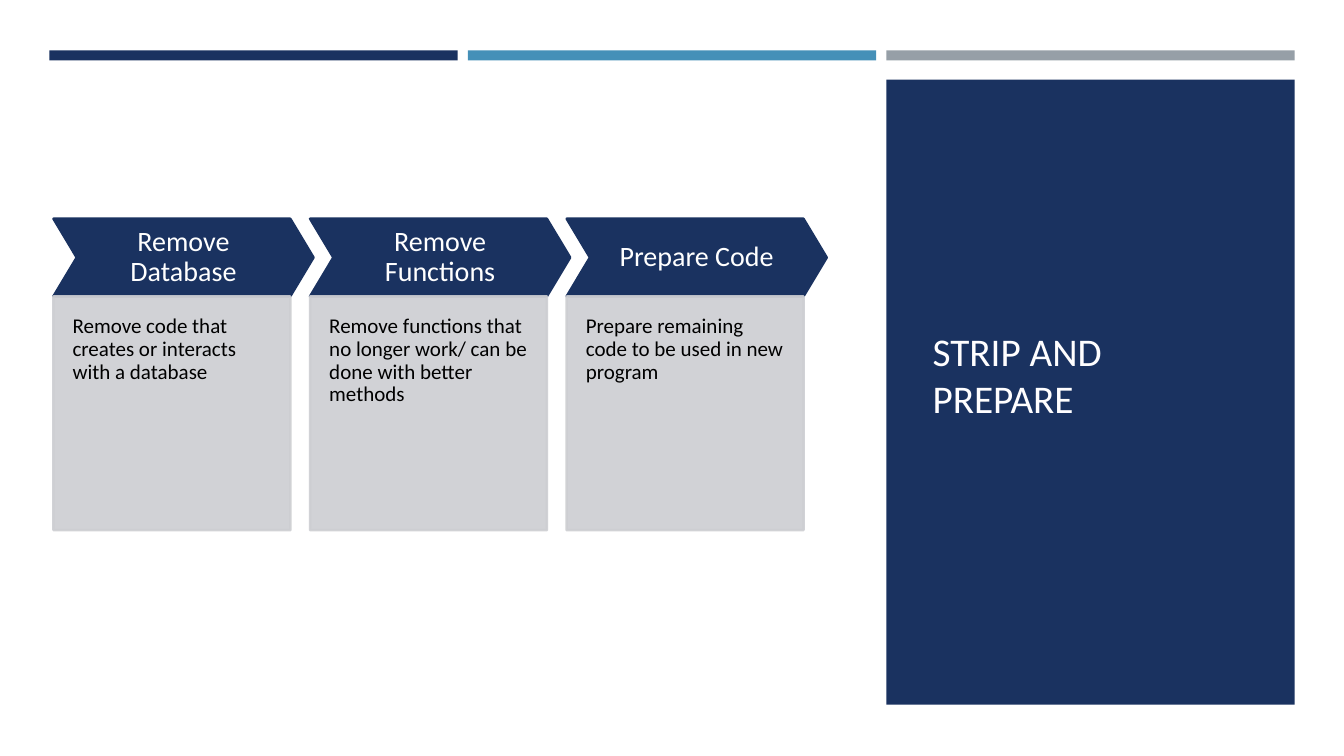
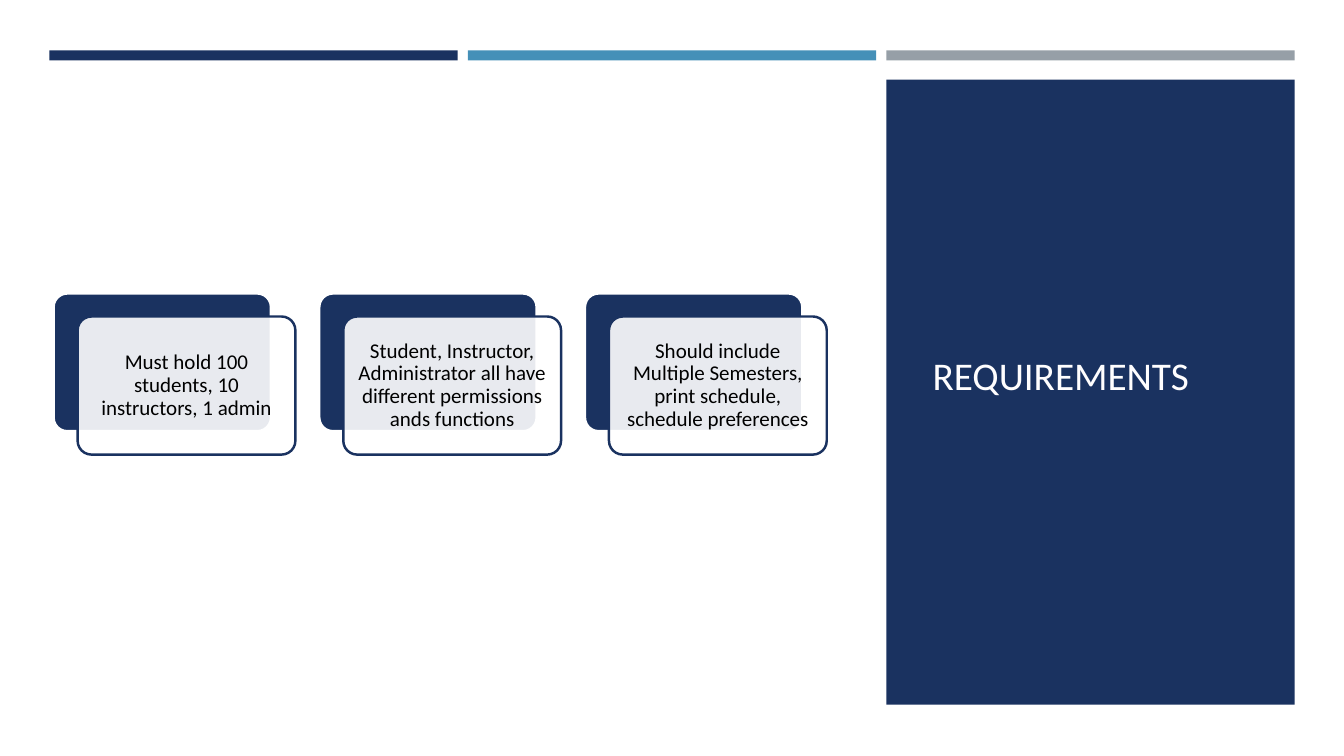
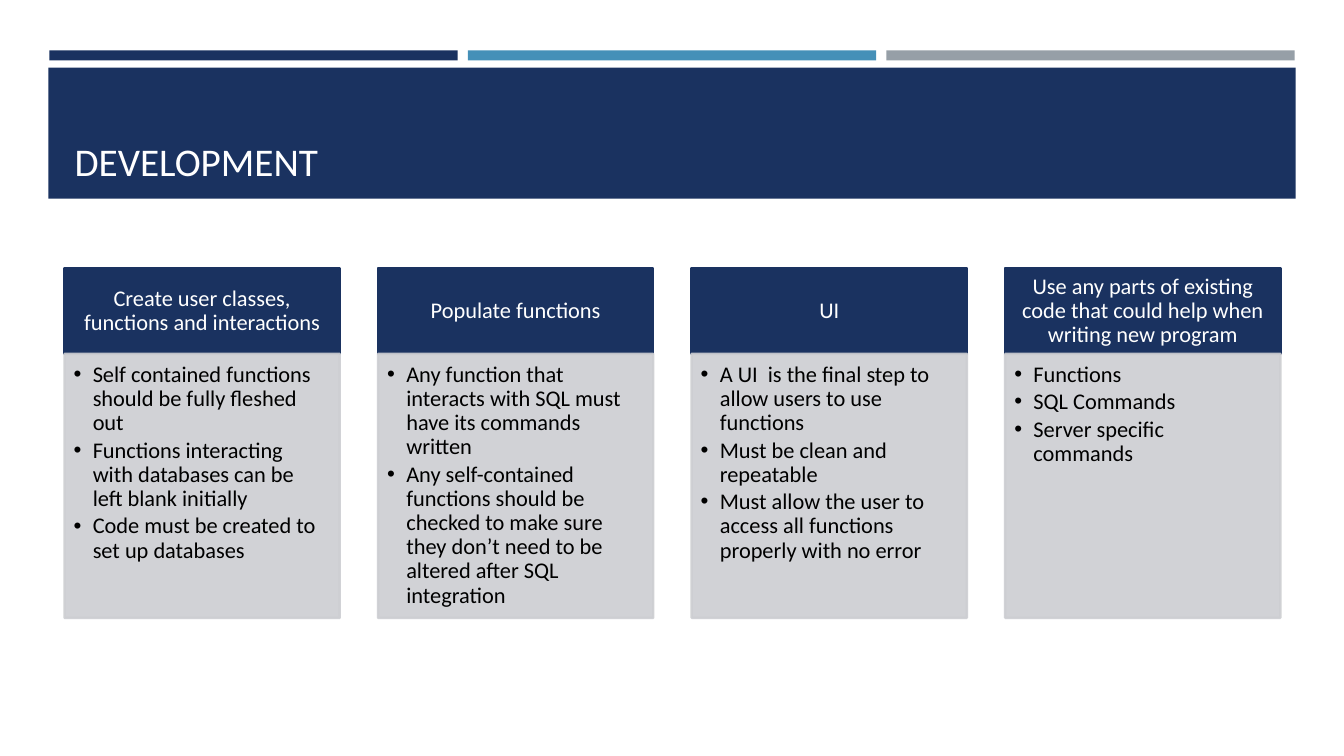
import pptx
import pptx.util
import pptx.dml.color
import pptx.enum.shapes
import pptx.enum.text
import pptx.oxml.ns
import lxml.etree

SHAPE = pptx.enum.shapes.MSO_SHAPE
ALIGN = pptx.enum.text.PP_ALIGN
ANCHOR = pptx.enum.text.MSO_ANCHOR
Inches = pptx.util.Inches
Pt = pptx.util.Pt
qn = pptx.oxml.ns.qn

# Shared style
FONT = "Calibri"
NAVY, BLUE, GREY = "1A3260", "4590B8", "969FA7"
SILVER, WHITE, BLACK = "CDCED2", "FFFFFF", "000000"
TITLE_WHITE = "FFFEFF"
WIDTH, HEIGHT = 13.33, 7.5

# Three-column page grid
LEFT, COLUMN, GUTTER = 0.49, 4.05, 0.1
COLUMN_LEFTS = [LEFT + i * (COLUMN + GUTTER) for i in range(3)]

# Content
STRIP_STEPS = [
    ("Remove Database", "Remove code that creates or interacts with a database"),
    ("Remove Functions",
     "Remove functions that no longer work/ can be done with better methods"),
    ("Prepare Code", "Prepare remaining code to be used in new program"),
]
REQUIREMENTS = [
    "Must hold 100 students, 10 instructors, 1 admin",
    "Student, Instructor, Administrator all have different permissions ands functions",
    "Should include Multiple Semesters, print schedule, schedule preferences",
]
DEVELOPMENT = [
    ("Create user classes, functions and interactions",
     ["Self contained functions should be fully fleshed out",
      "Functions interacting with databases can be left blank initially",
      "Code must be created to set up databases"]),
    ("Populate functions",
     ["Any function that interacts with SQL must have its commands written",
      "Any self-contained functions should be checked to make sure they "
      "don’t need to be altered after SQL integration"]),
    ("UI",
     ["A UI  is the final step to allow users to use functions",
      "Must be clean and repeatable",
      "Must allow the user to access all functions properly with no error"]),
    ("Use any parts of existing code that could help when writing new program",
     ["Functions", "SQL Commands", "Server specific commands"]),
]


def colour(value):
    return pptx.dml.color.RGBColor.from_string(value)


def spread(first, last, count):
    """Left edges of count equally spaced columns."""
    return [first + i * (last - first) / (count - 1) for i in range(count)]


def set_opacity(box, value, percent):
    """Make the fill, and a line of the same colour, see-through."""
    for node in box.element.spPr.iter(qn("a:srgbClr")):
        if node.get("val") == value:
            lxml.etree.SubElement(node, qn("a:alpha")).set("val", str(percent * 1000))


def add_box(page, kind, at, fill, line=None, weight=1.75, adjust=None, opacity=100):
    box = page.shapes.add_shape(kind, *[Inches(length) for length in at])
    box.shadow.inherit = False
    box.fill.solid()
    box.fill.fore_color.rgb = colour(fill)
    if line:
        box.line.color.rgb = colour(line)
        box.line.width = Pt(weight)
    else:
        box.line.fill.background()
    if adjust is not None:
        box.adjustments[0] = adjust
    if opacity < 100:
        set_opacity(box, fill, opacity)
    return box


def add_bullet(para, indent):
    properties = para._p.get_or_add_pPr()
    properties.set("marL", str(Inches(indent)))
    properties.set("indent", str(-Inches(indent)))
    lxml.etree.SubElement(properties, qn("a:buFont")).set("typeface", "Arial")
    lxml.etree.SubElement(properties, qn("a:buChar")).set("char", "•")


def write(box, lines, size, ink, insets, align=ALIGN.CENTER, anchor=ANCHOR.MIDDLE,
          spacing=0.9, after=0.35, bullets=False):
    frame = box.text_frame
    frame.text = "\n".join(lines)
    frame.word_wrap = True
    frame.auto_size = pptx.enum.text.MSO_AUTO_SIZE.NONE
    frame.vertical_anchor = anchor
    (frame.margin_left, frame.margin_top,
     frame.margin_right, frame.margin_bottom) = [Inches(inset) for inset in insets]
    for para in frame.paragraphs:
        para.alignment = align
        para.line_spacing = spacing
        para.space_after = Pt(round(size * after, 1))
        if bullets:
            add_bullet(para, 0.19)
        for span in para.runs:
            span.font.name = FONT
            span.font.size = Pt(size)
            span.font.color.rgb = colour(ink)


def add_page(deck, title, panel, title_at, ink, anchor):
    """Slide with the three top bars and a title on a navy panel."""
    page = deck.slides.add_slide(deck.slide_layouts[5])
    for left, fill in zip(COLUMN_LEFTS, (NAVY, BLUE, GREY)):
        add_box(page, SHAPE.RECTANGLE, (left, 0.5, COLUMN, 0.1), fill)
    add_box(page, SHAPE.RECTANGLE, panel, NAVY)
    heading = page.shapes.title
    heading.left, heading.top, heading.width, heading.height = [
        Inches(length) for length in title_at]
    write(heading, [title], 28, ink, (0.1, 0.05, 0.1, 0.05), ALIGN.LEFT, anchor,
          spacing=1.0, after=0)
    # Bring the title in front of its panel
    heading.element.getparent().append(heading.element)
    return page


def add_side_page(deck, title):
    return add_page(deck, title, (COLUMN_LEFTS[2], 0.79, COLUMN, 6.2),
                    (9.15, 1.14, 3.34, 5.15), TITLE_WHITE, ANCHOR.MIDDLE)


def add_band_page(deck, title):
    return add_page(deck, title, (0.48, 0.67, 12.37, 1.3),
                    (0.64, 0.77, 12.06, 1.11), WHITE, ANCHOR.BOTTOM)


def add_card(page, at):
    return add_box(page, SHAPE.RECTANGLE, at, SILVER, SILVER, opacity=90)


def add_step(page, left, heading, detail):
    chevron = add_box(page, SHAPE.CHEVRON, (left, 2.17, 2.58, 0.77), NAVY, NAVY,
                      adjust=0.3)
    write(chevron, [heading], 20, WHITE, [0.1] * 4)
    card = add_card(page, (left, 2.94, 2.35, 2.32))
    write(card, [detail], 15, BLACK, (0.19, 0.19, 0.19, 0.37), ALIGN.LEFT, ANCHOR.TOP)


def add_requirement(page, left, text):
    size = (2.16, 1.37)
    add_box(page, SHAPE.ROUNDED_RECTANGLE, (left, 2.91, *size), NAVY, WHITE,
            weight=2, adjust=0.1)
    front = add_box(page, SHAPE.ROUNDED_RECTANGLE, (left + 0.24, 3.14, *size),
                    WHITE, NAVY, adjust=0.1, opacity=90)
    write(front, [text], 15, BLACK, [0.06] * 4)


def add_bullet_column(page, left, heading, items):
    header = add_box(page, SHAPE.RECTANGLE, (left, 2.66, 2.73, 0.85), NAVY, NAVY)
    write(header, [heading], 16, WHITE, (0.12, 0.07, 0.12, 0.07))
    card = add_card(page, (left, 3.51, 2.73, 2.62))
    write(card, items, 16, BLACK, (0.09, 0.09, 0.12, 0.14), ALIGN.LEFT, ANCHOR.TOP,
          after=0.15, bullets=True)


def main():
    deck = pptx.Presentation()
    deck.slide_width, deck.slide_height = Inches(WIDTH), Inches(HEIGHT)

    # Strip and prepare
    page = add_side_page(deck, "STRIP AND PREPARE")
    for left, (heading, detail) in zip(spread(0.53, 5.62, 3), STRIP_STEPS):
        add_step(page, left, heading, detail)

    # Requirements
    page = add_side_page(deck, "REQUIREMENTS")
    for left, text in zip(spread(0.53, 5.8, 3), REQUIREMENTS):
        add_requirement(page, left, text)

    # Development
    page = add_band_page(deck, "DEVELOPMENT")
    for left, (heading, items) in zip(spread(0.64, 9.97, 4), DEVELOPMENT):
        add_bullet_column(page, left, heading, items)

    deck.save("out.pptx")


main()
